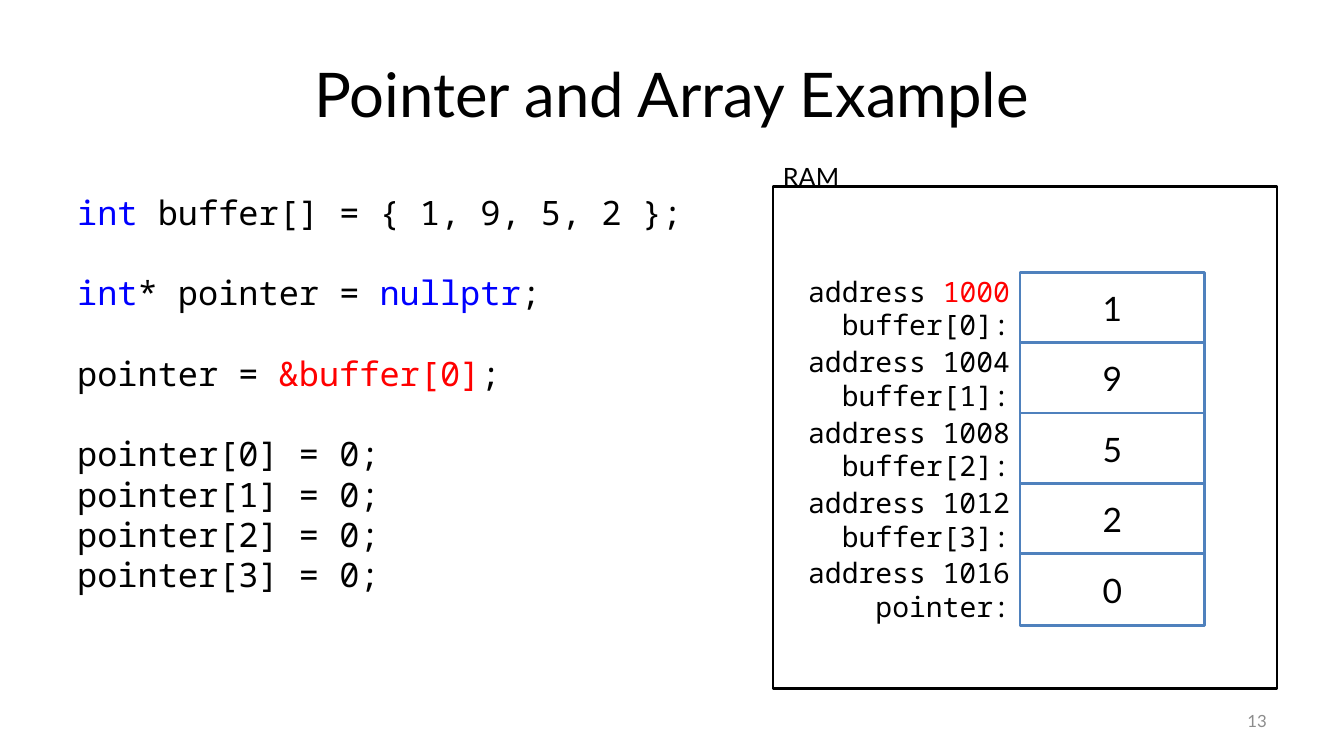
from pptx import Presentation
from pptx.dml.color import RGBColor
from pptx.enum.shapes import MSO_SHAPE
from pptx.enum.text import MSO_ANCHOR as ANCHOR, PP_ALIGN as ALIGN
from pptx.util import Pt

BLACK = RGBColor(0x00, 0x00, 0x00)
WHITE = RGBColor(0xFF, 0xFF, 0xFF)
GRAY = RGBColor(0x8C, 0x8C, 0x8C)
RED = RGBColor(0xFF, 0x00, 0x00)
BLUE = RGBColor(0x00, 0x00, 0xFF)
STEEL = RGBColor(0x4F, 0x81, 0xBD)
SANS = "Lato"
MONO = "Noto Sans Mono"
LINE = 1.2

CODE = [
    [("int", BLUE), (" buffer[] = { 1, 9, 5, 2 };", BLACK)],
    [("int", BLUE), ("* pointer = ", BLACK), ("nullptr", BLUE), (";", BLACK)],
    [("pointer = ", BLACK), ("&buffer[0]", RED), (";", BLACK)],
] + [[(f"pointer[{i}] = 0;", BLACK)] for i in range(4)]
GAPS_BEFORE = (1, 2, 3)

MEMORY = [("buffer[0]:", 1), ("buffer[1]:", 9), ("buffer[2]:", 5),
          ("buffer[3]:", 2), ("pointer:", 0)]
FIRST_ADDRESS, INT_BYTES = 1000, 4
RAM_X, RAM_Y = 552.2, 133.2
CELL_X, CELL_Y, CELL_W, CELL_H, CELL_STEP = 728.6, 194.4, 131.8, 51.1, 50.3
LABEL_H = 55.4


class SlideBuilder:
    """Draws styled text, code and boxes on one slide."""

    def __init__(self, prs):
        self.s = prs.slides.add_slide(prs.slide_layouts[6])

    def style(self, r, size, color, font):
        r.font.name = font
        r.font.size = Pt(size)
        r.font.color.rgb = color

    def text(self, box, text, size, color=BLACK, align=ALIGN.LEFT, anchor=ANCHOR.TOP):
        sp = self.s.shapes.add_textbox(*map(Pt, box))
        self.fill_text(sp.text_frame, text, size, color, align, anchor)

    def fill_text(self, tf, text, size, color, align, anchor):
        tf.word_wrap = True
        tf.vertical_anchor = anchor
        tf.text = text
        p = tf.paragraphs[0]
        p.alignment = align
        self.style(p.runs[0], size, color, SANS)

    def code(self, box, lines, size, align=ALIGN.LEFT, anchor=ANCHOR.TOP, gaps=()):
        tf = self.s.shapes.add_textbox(*map(Pt, box)).text_frame
        tf.word_wrap = True
        tf.vertical_anchor = anchor
        for i, line in enumerate(lines):
            p = tf.add_paragraph() if i else tf.paragraphs[0]
            p.alignment = align
            p.line_spacing = Pt(size * LINE)
            if i in gaps:
                p.space_before = Pt(size * LINE)
            for text, color in line:
                r = p.add_run()
                r.text = text
                self.style(r, size, color, MONO)

    def rect(self, box, line, text=None):
        sp = self.s.shapes.add_shape(MSO_SHAPE.RECTANGLE, *map(Pt, box))
        sp.shadow.inherit = False
        sp.fill.solid()
        sp.fill.fore_color.rgb = WHITE
        sp.line.color.rgb = line
        sp.line.width = Pt(2)
        if text:
            self.fill_text(sp.text_frame, text, 24, BLACK, ALIGN.CENTER, ANCHOR.MIDDLE)


def main():
    prs = Presentation()
    prs.slide_width, prs.slide_height = Pt(960), Pt(540)
    b = SlideBuilder(prs)
    b.text((48, 21.6, 864, 90), "Pointer and Array Example", 44,
           align=ALIGN.CENTER, anchor=ANCHOR.MIDDLE)
    b.text((688, 500.5, 224, 28.8), "13", 12, GRAY, ALIGN.RIGHT, ANCHOR.MIDDLE)
    b.rect((RAM_X, RAM_Y, 360, 358.6), BLACK)
    b.text((RAM_X, 111.6, 134, 29), "RAM", 18)
    for i, (name, value) in enumerate(MEMORY):
        y = CELL_Y + i * CELL_STEP
        b.rect((CELL_X, y, CELL_W, CELL_H), STEEL, str(value))
        address = (str(FIRST_ADDRESS + i * INT_BYTES), BLACK if i else RED)
        b.code((RAM_X, y + (CELL_H - LABEL_H) / 2, CELL_X - RAM_X, LABEL_H),
               [[("address ", BLACK), address], [(name, BLACK)]],
               20, ALIGN.RIGHT, ANCHOR.MIDDLE)
    b.code((48, RAM_Y, 456, 298), CODE, 24, gaps=GAPS_BEFORE)
    prs.save("out.pptx")


if __name__ == "__main__":
    main()
